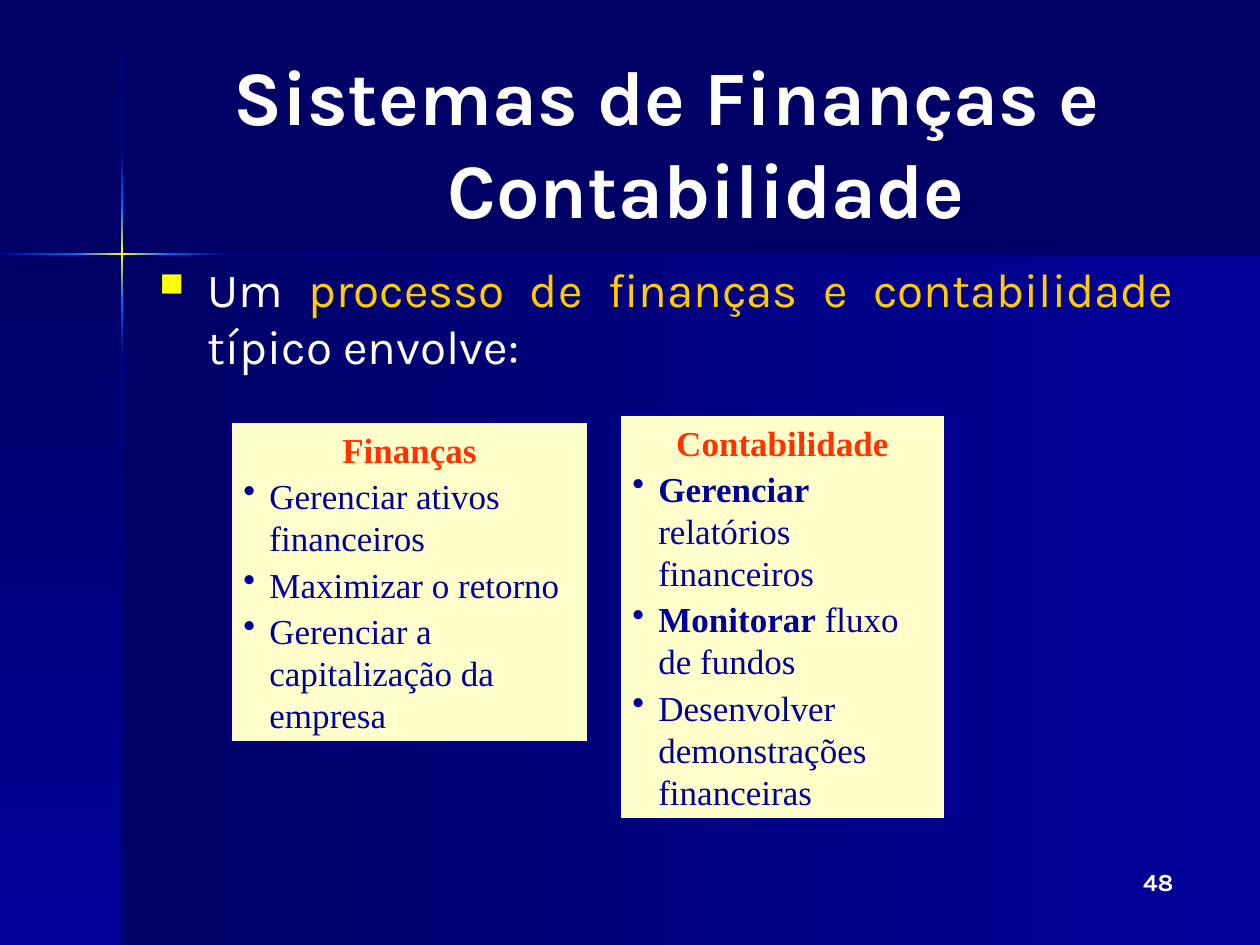
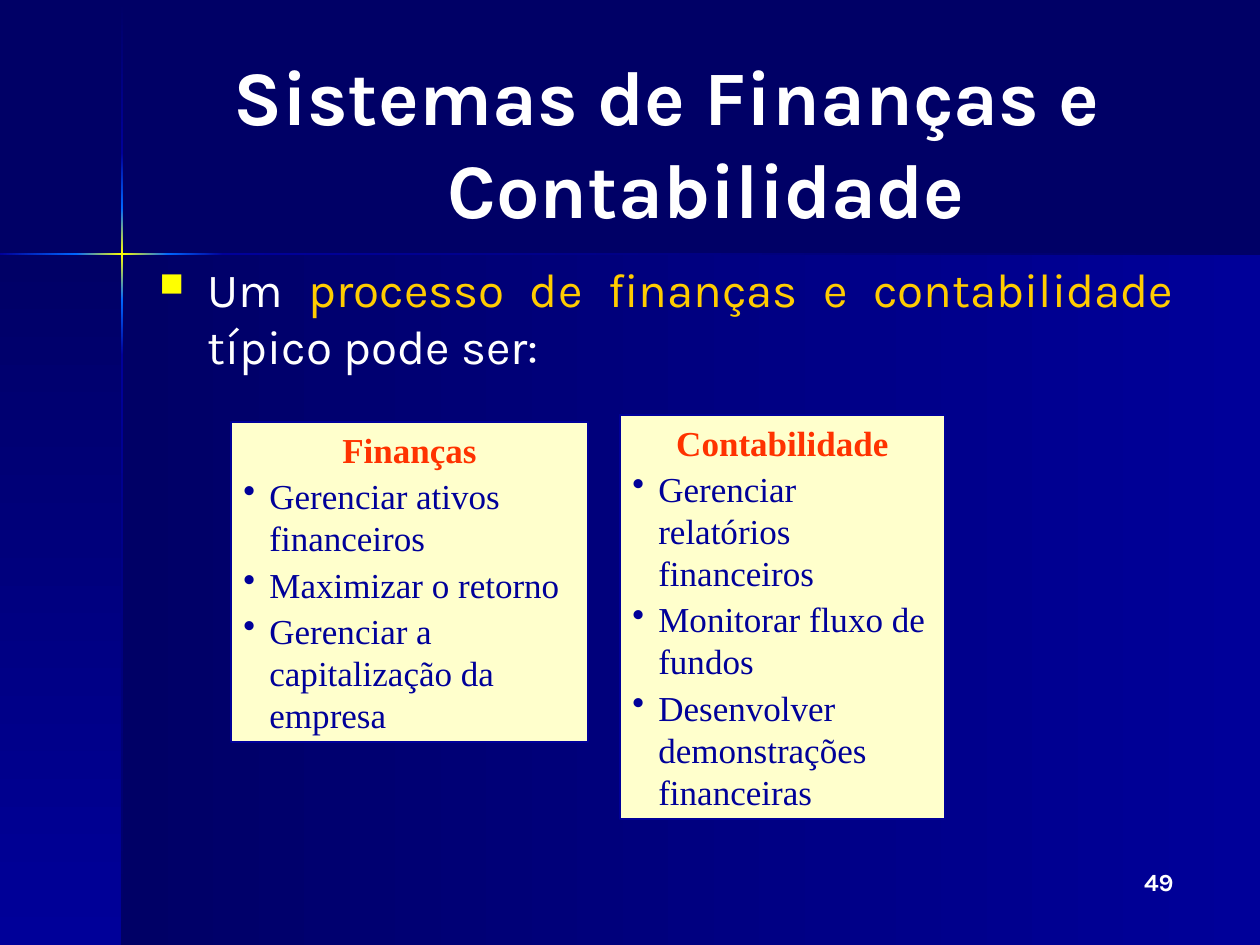
import pptx
import pptx.dml.color
import pptx.enum.shapes
import pptx.enum.text
import pptx.oxml.ns
import pptx.util
from lxml import etree

RGBColor = pptx.dml.color.RGBColor
Align = pptx.enum.text.PP_ALIGN
RECTANGLE = pptx.enum.shapes.MSO_SHAPE.RECTANGLE
qn = pptx.oxml.ns.qn

# Shared look
WIDTH, HEIGHT = 1260, 945
EMU_PER_PX = 914400 / 126
NIGHT = RGBColor(0x00, 0x00, 0x66)
NAVY = RGBColor(0x00, 0x00, 0x99)
AZURE = RGBColor(0x00, 0x66, 0xFF)
YELLOW = RGBColor(0xFF, 0xFF, 0x00)
GOLD = RGBColor(0xFF, 0xCC, 0x00)
CREAM = RGBColor(0xFF, 0xFF, 0xCC)
ORANGE = RGBColor(0xFF, 0x33, 0x00)
WHITE = RGBColor(0xFF, 0xFF, 0xFF)
SANS, SERIF = "Karla", "Times New Roman"
LEADING = 1.2

# Glowing cross: edge of each segment and the colour reached there
CROSS_X, CROSS_Y, CROSS_WIDTH = 122, 254, 2
VERTICAL_GLOW = [(1, NIGHT), (153, NAVY), (208, AZURE), (254, YELLOW),
                 (300, AZURE), (355, NAVY), (945, NIGHT)]
HORIZONTAL_GLOW = [(0, NAVY), (76, AZURE), (122, YELLOW),
                   (168, AZURE), (223, NAVY), (1260, NIGHT)]

# Wording
TITLE = "Sistemas de Finanças e Contabilidade"
TOPIC = "processo de finanças e contabilidade"
FINANCE = [[("Gerenciar ativos financeiros", False)],
           [("Maximizar o retorno", False)],
           [("Gerenciar a capitalização da empresa", False)]]


def accounting_items(bold_verbs):
    return [[("Gerenciar", bold_verbs), (" relatórios financeiros", False)],
            [("Monitorar", bold_verbs), (" fluxo de fundos", False)],
            [("Desenvolver demonstrações financeiras", False)]]


def px(length):
    return pptx.util.Emu(round(length * EMU_PER_PX))


def add_rectangle(page, left, top, width, height):
    box = page.shapes.add_shape(RECTANGLE, px(left), px(top), px(width), px(height))
    box.shadow.inherit = False
    return box


def add_gradient(page, left, top, width, height, start, end, angle):
    box = add_rectangle(page, left, top, width, height)
    box.line.fill.background()
    box.fill.gradient()
    box.fill.gradient_angle = -angle % 360
    for stop, color in zip(box.fill.gradient_stops, (start, end)):
        stop.color.rgb = color
    for stop, position in zip(box.fill.gradient_stops, (0, 1)):
        stop.position = position


def add_text_box(page, left, top, width, height):
    box = page.shapes.add_textbox(px(left), px(top), px(width), px(height))
    box.text_frame.word_wrap = True
    return box.text_frame


def set_bullet(para, symbol, color, percent=100):
    properties = para._p.get_or_add_pPr()
    holder = etree.SubElement(properties, qn("a:buClr"))
    etree.SubElement(holder, qn("a:srgbClr"), val=str(color))
    etree.SubElement(properties, qn("a:buSzPct"), val=str(percent * 1000))
    etree.SubElement(properties, qn("a:buChar"), char=symbol)


def style_paragraph(para, font, size, color, align=Align.LEFT, bold=False, hanging=0):
    para.alignment = align
    para.line_spacing = pptx.util.Pt(size * LEADING)
    if hanging:
        properties = para._p.get_or_add_pPr()
        properties.set("marL", str(px(hanging)))
        properties.set("indent", str(-px(hanging)))
    para.font.name = font
    para.font.size = pptx.util.Pt(size)
    para.font.bold = bold
    para.font.color.rgb = color


def add_span(para, text):
    span = para.add_run()
    span.text = text
    return span


def draw_backdrop(page):
    page.background.fill.solid()
    page.background.fill.fore_color.rgb = NIGHT
    # Panels beside and below the cross
    panel_height = HEIGHT - CROSS_Y
    add_gradient(page, CROSS_X, CROSS_Y, WIDTH - CROSS_X, panel_height, NIGHT, NAVY, 0)
    add_gradient(page, 0, CROSS_Y, CROSS_X, panel_height, NIGHT, NAVY, 90)
    # Arms of the cross
    half = CROSS_WIDTH // 2
    for (top, start), (bottom, end) in zip(VERTICAL_GLOW, VERTICAL_GLOW[1:]):
        add_gradient(page, CROSS_X - half, top, CROSS_WIDTH, bottom - top, start, end, 90)
    for (left, start), (right, end) in zip(HORIZONTAL_GLOW, HORIZONTAL_GLOW[1:]):
        add_gradient(page, left, CROSS_Y - half, right - left, CROSS_WIDTH, start, end, 0)


def add_page_number(page, number):
    para = add_text_box(page, 924, 861, 262, 63).paragraphs[0]
    add_span(para, str(number))
    style_paragraph(para, SANS, 14, WHITE, Align.RIGHT, bold=True)


def add_title(page):
    frame = add_text_box(page, 147, 42, 1040, 198)
    frame.vertical_anchor = pptx.enum.text.MSO_ANCHOR.MIDDLE
    para = frame.paragraphs[0]
    add_span(para, TITLE)
    style_paragraph(para, SANS, 44, WHITE, Align.CENTER, bold=True, hanging=79)


def add_lead(page, ending):
    para = add_text_box(page, 147, 254, 1040, 126).paragraphs[0]
    add_span(para, "Um ")
    add_span(para, TOPIC).font.color.rgb = GOLD
    add_span(para, ending)
    set_bullet(para, "■", YELLOW, 70)
    style_paragraph(para, SANS, 27.2, WHITE, Align.JUSTIFY, hanging=48)


def add_card(page, left, top, width, height, heading, items):
    box = add_rectangle(page, left, top, width, height)
    box.fill.solid()
    box.fill.fore_color.rgb = CREAM
    box.line.color.rgb = NAVY
    box.line.width = pptx.util.Pt(0.75)
    frame = box.text_frame
    frame.word_wrap = True
    frame.vertical_anchor = pptx.enum.text.MSO_ANCHOR.TOP
    para = frame.paragraphs[0]
    add_span(para, heading)
    style_paragraph(para, SERIF, 20, ORANGE, Align.CENTER, bold=True, hanging=26)
    for spans in items:
        para = frame.add_paragraph()
        for text, bold in spans:
            span = add_span(para, text)
            if bold:
                span.font.bold = True
        para.space_before = pptx.util.Pt(2.5)
        set_bullet(para, "•", NAVY)
        style_paragraph(para, SERIF, 20, NAVY, hanging=26)


def add_process_slide(deck, number, ending, bold_verbs):
    page = deck.slides.add_slide(deck.slide_layouts[6])
    draw_backdrop(page)
    add_page_number(page, number)
    add_title(page)
    add_lead(page, ending)
    add_card(page, 620, 415, 325, 404, "Contabilidade", accounting_items(bold_verbs))
    add_card(page, 231, 422, 357, 320, "Finanças", FINANCE)


def main():
    deck = pptx.Presentation()
    deck.slide_width, deck.slide_height = px(WIDTH), px(HEIGHT)
    add_process_slide(deck, 48, " típico envolve:", bold_verbs=True)
    add_process_slide(deck, 49, " típico pode ser:", bold_verbs=False)
    deck.save("out.pptx")


if __name__ == "__main__":
    main()
